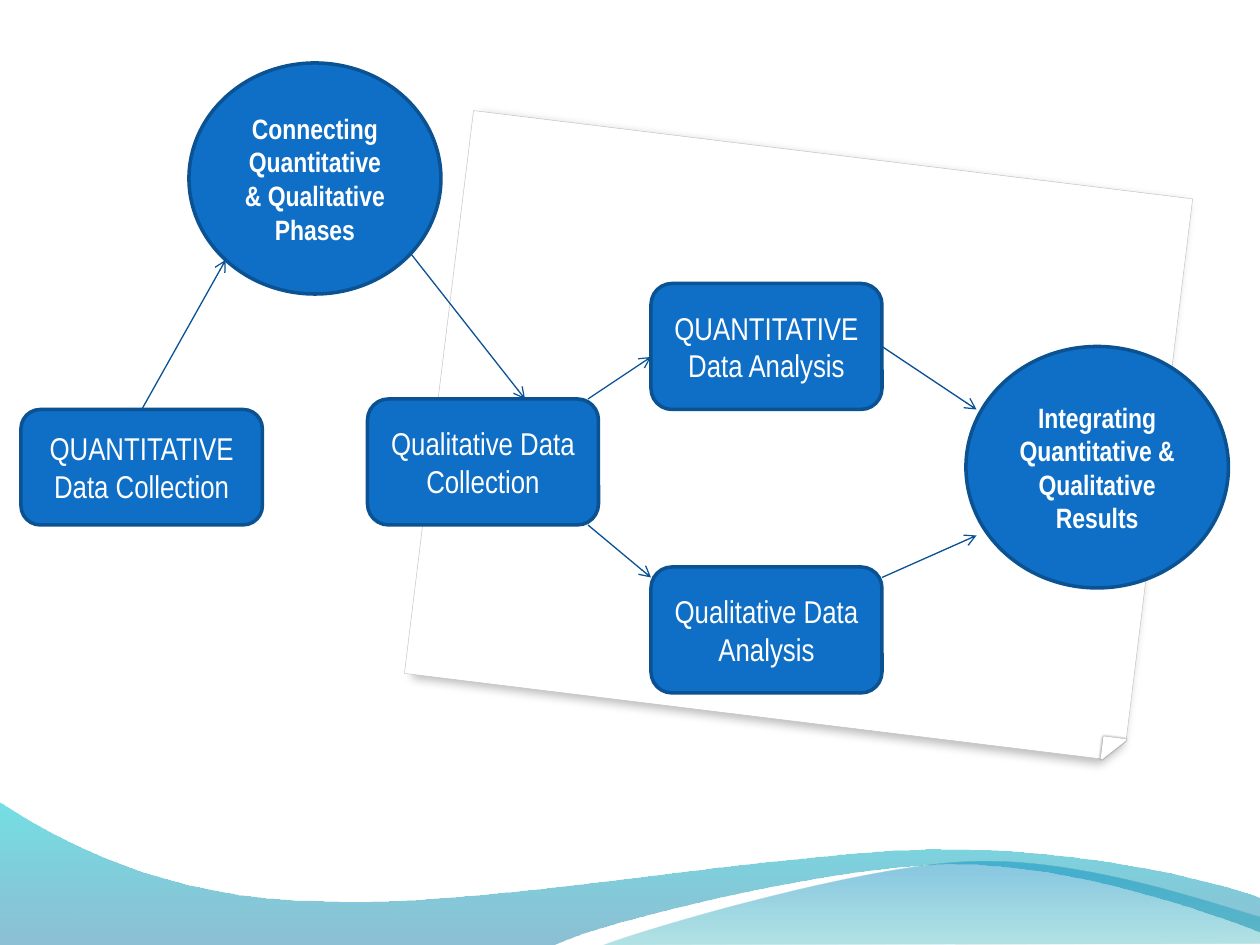
"""Build a mixed-methods research flow slide: collection, analysis and integration."""
from lxml import etree
from pptx import Presentation
from pptx import util as u
from pptx.dml.color import RGBColor
from pptx.enum import shapes, text
from pptx.oxml.ns import qn

Pt = u.Pt
Kind = shapes.MSO_SHAPE


def color(value):
    return RGBColor.from_string(value)


deck = Presentation()
deck.slide_width, deck.slide_height = Pt(720), Pt(540)
page = deck.slides.add_slide(deck.slide_layouts[6])

papers = [
    (Kind.SNIP_ROUND_RECTANGLE, (249.3, 87.2, 414, 324), "C0C0C0", 0.25,
     (25, 5, 3, 125), {"sx": "98500", "sy": "100080", "kx": "100000"}),
    (Kind.RIGHT_TRIANGLE, (630.2, 422, 12.2, 12.2), "FFFFFF", 1,
     (47, 1.6, 0.5, 215), {}),
]
for kind, place, edge, width, (alpha, blur, distance, angle), skew in papers:
    paper = page.shapes.add_shape(kind, *map(Pt, place))
    if kind == Kind.SNIP_ROUND_RECTANGLE:
        paper.adjustments[0], paper.adjustments[1] = 0, 0.036
    paper.rotation = 7
    paper._element.spPr.find(qn("a:xfrm")).set("flipV", "1")
    paper.fill.solid()
    paper.fill.fore_color.rgb = color("FFFFFF")
    paper.line.color.rgb = color(edge)
    paper.line.width = Pt(width)
    paper.shadow.inherit = False
    effects = paper._element.spPr.find(qn("a:effectLst"))
    shadow = etree.SubElement(effects, qn("a:outerShdw"), blurRad=str(Pt(blur)),
                              dist=str(Pt(distance)), dir=str(angle * 60000),
                              algn="tl", rotWithShape="0", **skew)
    tint = etree.SubElement(shadow, qn("a:srgbClr"), val="000000")
    etree.SubElement(tint, qn("a:alpha"), val=str(alpha * 1000))

waves = [
    ([("M", (0, 540)),
      ("L", (316.8, 540)),
      ("C", (342.7, 527), (478.1, 493.9), (545.8, 493.9)),
      ("C", (614.2, 493.9), (689.8, 521.3), (720, 532.8)),
      ("L", (720.7, 513.4)),
      ("C", (707.8, 507.6), (626.4, 484.6), (537.1, 485.3)),
      ("C", (447.8, 485.3), (275, 519.1), (185, 514.8)),
      ("C", (92.9, 514.1), (33.1, 479.5), (-0.7, 457.9)),
      ("L", (0, 540))],
     [(0, "0074A1", 45), (1, "00C6CF", 55)]),
    ([("M", (344.9, 540)),
      ("C", (366.5, 531.4), (491, 494.6), (553.7, 492.5)),
      ("C", (616.3, 489.6), (691.9, 516.2), (720, 524.2)),
      ("L", (720, 539.3)),
      ("L", (344.9, 540))],
     [(0, "00A1A9", 30), (0.8, "008BBF", 45)]),
]
for outline, stops in waves:
    points = [tuple(map(Pt, point)) for _, *group in outline for point in group]
    builder = page.shapes.build_freeform(*points[0], scale=1.0)
    builder.add_line_segments(points[1:], close=True)
    wave = builder.convert_to_shape()
    segments = iter(list(wave._element.spPr.iter(qn("a:lnTo"))))
    for command, *group in outline[1:]:
        first, *others = [next(segments) for _ in group]
        if command == "C":
            bend = etree.Element(qn("a:cubicBezTo"))
            first.addprevious(bend)
            for segment in (first, *others):
                bend.append(segment[0])
                segment.getparent().remove(segment)
    wave.shadow.inherit = False
    wave.line.fill.background()
    wave.fill.gradient()
    wave.fill.gradient_angle = 90
    for stop, (position, tone, _) in zip(wave.fill.gradient_stops, stops):
        stop.position = position
        stop.color.rgb = color(tone)
    tints = list(wave._element.spPr.iter(qn("a:srgbClr")))
    for tint, (_, _, alpha) in zip(tints, stops):
        etree.SubElement(tint, qn("a:alpha"), val=str(alpha * 1000))

stages = [
    ("collect quantitative", (12, 234, 138, 66), "QUANTITATIVE Data Collection"),
    ("integrate", (552, 198, 150, 138), "Integrating Quantitative & Qualitative Results"),
    ("connect", (108, 36, 144, 132), "Connecting Quantitative & Qualitative Phases"),
    ("collect qualitative", (210, 228, 132, 72), "Qualitative Data Collection"),
    ("analyse qualitative", (372, 324, 132, 72), "Qualitative Data Analysis"),
    ("analyse quantitative", (372, 162, 132, 72), "QUANTITATIVE Data Analysis"),
]
boxes = {}
for name, place, words in stages:
    is_phase = name in ("connect", "integrate")
    kind = Kind.OVAL if is_phase else Kind.ROUNDED_RECTANGLE
    box = boxes[name] = page.shapes.add_shape(kind, *map(Pt, place))
    box.shadow.inherit = False
    box.fill.solid()
    box.fill.fore_color.rgb = color("0F6FC6")
    box.line.color.rgb = color("0B5292")
    box.line.width = Pt(2)
    frame = box.text_frame
    frame.word_wrap = True
    frame.vertical_anchor = text.MSO_ANCHOR.MIDDLE
    para = frame.paragraphs[0]
    para.text = words
    para.alignment = text.PP_ALIGN.CENTER
    para.font.name = "Arial Narrow"
    para.font.size = Pt(16 if is_phase else 18)
    para.font.bold = is_phase
    para.font.color.rgb = color("FFFFFF")

arrows = [
    ((81, 234, 129, 148.5), ("collect quantitative", 0)),
    ((234, 144, 300, 228), None),
    ((336, 228, 372, 204), None),
    ((336, 300, 372, 330), None),
    ((504, 198, 558, 234), ("analyse quantitative", 3)),
    ((504, 330, 558, 306), None),
]
for ends, joint in arrows:
    arrow = page.shapes.add_connector(shapes.MSO_CONNECTOR.STRAIGHT, *map(Pt, ends))
    if joint:
        arrow.begin_connect(boxes[joint[0]], joint[1])
    arrow.line.color.rgb = color("095295")
    arrow.line.width = Pt(0.75)
    etree.SubElement(arrow.line._get_or_add_ln(), qn("a:tailEnd"), type="arrow")
    etree.SubElement(arrow._element.spPr, qn("a:effectLst"))

deck.save("out.pptx")
